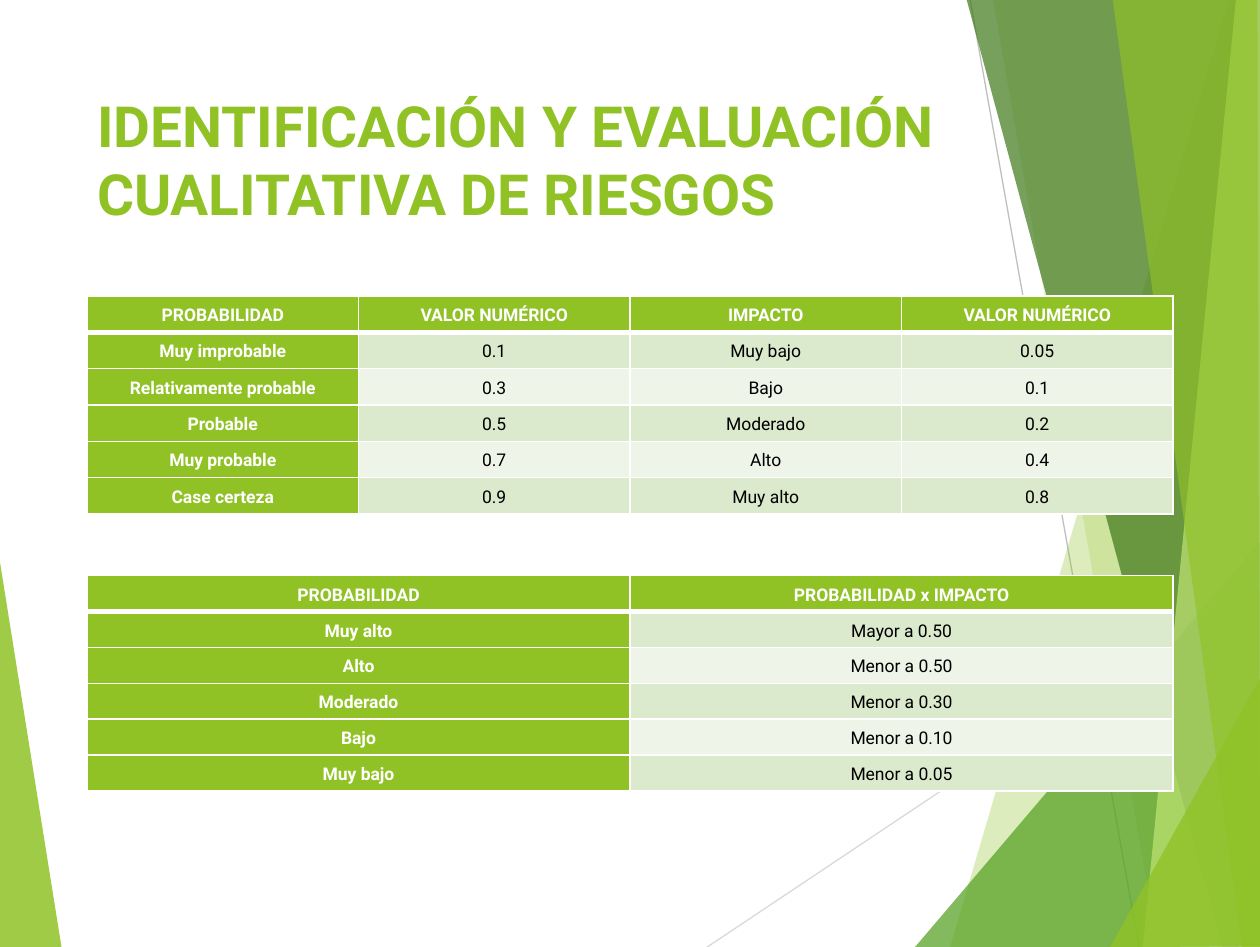
from typing import NamedTuple

from lxml.etree import SubElement as Sub
from pptx import Presentation
from pptx.dml.color import RGBColor as Rgb
from pptx.enum.shapes import MSO_CONNECTOR as Conn
from pptx.enum.text import MSO_ANCHOR as Anchor, MSO_AUTO_SIZE as Auto, PP_ALIGN as Align
from pptx.oxml.ns import qn
from pptx.util import Inches, Pt

HIGH = 7.52
SIZE = {"slide_width": Inches(10), "slide_height": Pt(541.25)}
FONT = "Roboto"
HUES = {
    "lime": "90C226", "leaf": "54A021", "moss": "3F7819", "pale": "C0E474",
    "silver": "D9D9D9", "gray": "BFBFBF", "white": "FFFFFF", "black": "000000",
    "dark band": "DBE9CD", "light band": "EEF4E8",
}


class Facet(NamedTuple):
    hue: str
    alpha: int
    points: list


class Ray(NamedTuple):
    hue: str
    start: tuple
    end: tuple


class Grid(NamedTuple):
    top: float
    height: float
    rows: list


RAYS = [
    Ray("silver", (5.61, HIGH), (10.01, 4.58)),
    Ray("gray", (7.7, 0), (9.04, HIGH)),
]
EDGE = Facet("lime", 85, [(-0.01, 4.4), (0.49, 7.53), (-0.01, HIGH)])
FACETS = [
    Facet("lime", 30, [(9.75, 0), (7.54, HIGH), (10.02, 7.53), (10.01, 0.01)]),
    Facet("lime", 20, [(7.88, -0.01), (9.19, HIGH), (10.01, HIGH), (10.01, -0.01)]),
    Facet("leaf", 72, [(7.26, HIGH), (10, 4.3), (10.01, HIGH)]),
    Facet("moss", 70, [(7.67, -0.01), (9.7, HIGH), (10.01, 7.51), (10.01, -0.01)]),
    Facet("pale", 70, [(9.81, -0.01), (9.07, HIGH), (10.01, HIGH), (10, -0.01)]),
    Facet("lime", 65, [(8.83, -0.01), (9.86, HIGH), (10, HIGH), (9.98, -0.01)]),
    Facet("lime", 80, [(8.81, HIGH), (10.01, 5.37), (10.01, 7.51)]),
]
GRIDS = [
    Grid(2.35, 1.73, [
        ("PROBABILIDAD", "VALOR NUMÉRICO", "IMPACTO", "VALOR NUMÉRICO"),
        ("Muy improbable", "0.1", "Muy bajo", "0.05"),
        ("Relativamente probable", "0.3", "Bajo", "0.1"),
        ("Probable", "0.5", "Moderado", "0.2"),
        ("Muy probable", "0.7", "Alto", "0.4"),
        ("Case certeza", "0.9", "Muy alto", "0.8"),
    ]),
    Grid(4.57, 1.71, [
        ("PROBABILIDAD", "PROBABILIDAD x IMPACTO"),
        ("Muy alto", "Mayor a 0.50"),
        ("Alto", "Menor a 0.50"),
        ("Moderado", "Menor a 0.30"),
        ("Bajo", "Menor a 0.10"),
        ("Muy bajo", "Menor a 0.05"),
    ]),
]


def color(hue: str) -> Rgb:
    return Rgb.from_string(HUES[hue])


def assign(item, values: dict) -> None:
    for name, value in values.items():
        setattr(item, name, value)


def style(font, size: float, hue: str, bold: bool) -> None:
    assign(font, {"name": FONT, "size": Pt(size), "bold": bold})
    font.color.rgb = color(hue)


def draw_facet(slide, facet: Facet) -> None:
    first, *rest = [(Inches(x), Inches(y)) for x, y in facet.points]
    pen = slide.shapes.build_freeform(*first)
    pen.add_line_segments(rest, close=True)
    shape = pen.convert_to_shape()
    shape.shadow.inherit = False
    shape.line.fill.background()
    shape.fill.solid()
    shape.fill.fore_color.rgb = color(facet.hue)
    tint = shape.fill._xPr.find(".//" + qn("a:srgbClr"))
    Sub(tint, qn("a:alpha"), val=str(facet.alpha * 1000))


def draw_ray(slide, ray: Ray) -> None:
    ends = [Inches(n) for n in (*ray.start, *ray.end)]
    line = slide.shapes.add_connector(Conn.STRAIGHT, *ends)
    line.line.color.rgb = color(ray.hue)
    line.line.width = Pt(0.75)
    Sub(line._element.spPr, qn("a:effectLst"))


def add_rules(cell, row: int) -> None:
    """Draw white cell borders, with a thick one under the header row."""
    thick = {0: "B", 1: "T"}.get(row)
    props = cell._tc.get_or_add_tcPr()
    for side in "LRTB":
        width = Pt(3 if side == thick else 1)
        rule = Sub(props, qn("a:ln" + side), w=str(width))
        Sub(Sub(rule, qn("a:solidFill")), qn("a:srgbClr"), val=HUES["white"])


def fill_cell(cell, text: str, row: int, col: int) -> None:
    head = row == 0 or col == 0
    band = "dark band" if row % 2 else "light band"
    add_rules(cell, row)
    cell.fill.solid()
    cell.fill.fore_color.rgb = color("lime" if head else band)
    assign(cell, {
        "text": text, "vertical_anchor": Anchor.MIDDLE,
        "margin_left": Inches(0.07), "margin_right": Inches(0.07),
        "margin_top": 0, "margin_bottom": 0,
    })
    para = cell.text_frame.paragraphs[0]
    assign(para, {"alignment": Align.CENTER, "line_spacing": 1.15})
    style(para.runs[0].font, 10, "white" if head else "black", head)


def draw_grid(slide, grid: Grid) -> None:
    box = [Inches(n) for n in (0.69, grid.top, 8.62, grid.height)]
    table = slide.shapes.add_table(len(grid.rows), len(grid.rows[0]), *box).table
    for r, row in enumerate(grid.rows):
        for c, text in enumerate(row):
            fill_cell(table.cell(r, c), text, r, c)


def set_title(slide, text: str) -> None:
    title = slide.shapes.title
    assign(title, {"left": Inches(0.67), "top": Inches(0.67),
                   "width": Inches(6.94), "height": Inches(1.45)})
    frame = title.text_frame
    assign(frame, {
        "text": text, "word_wrap": True, "auto_size": Auto.NONE,
        "vertical_anchor": Anchor.TOP, "margin_top": Inches(0.05),
        "margin_left": Inches(0.1), "margin_right": Inches(0.1),
    })
    para = frame.paragraphs[0]
    para.alignment = Align.LEFT
    style(para.runs[0].font, 32.4, "lime", True)


def main() -> None:
    deck = Presentation()
    assign(deck, SIZE)
    slide = deck.slides.add_slide(deck.slide_layouts[5])
    draw_facet(slide, EDGE)
    for ray in RAYS:
        draw_ray(slide, ray)
    for facet in FACETS:
        draw_facet(slide, facet)
    set_title(slide, "IDENTIFICACIÓN Y EVALUACIÓN CUALITATIVA DE RIESGOS")
    for grid in GRIDS:
        draw_grid(slide, grid)
    deck.save("out.pptx")


if __name__ == "__main__":
    main()
